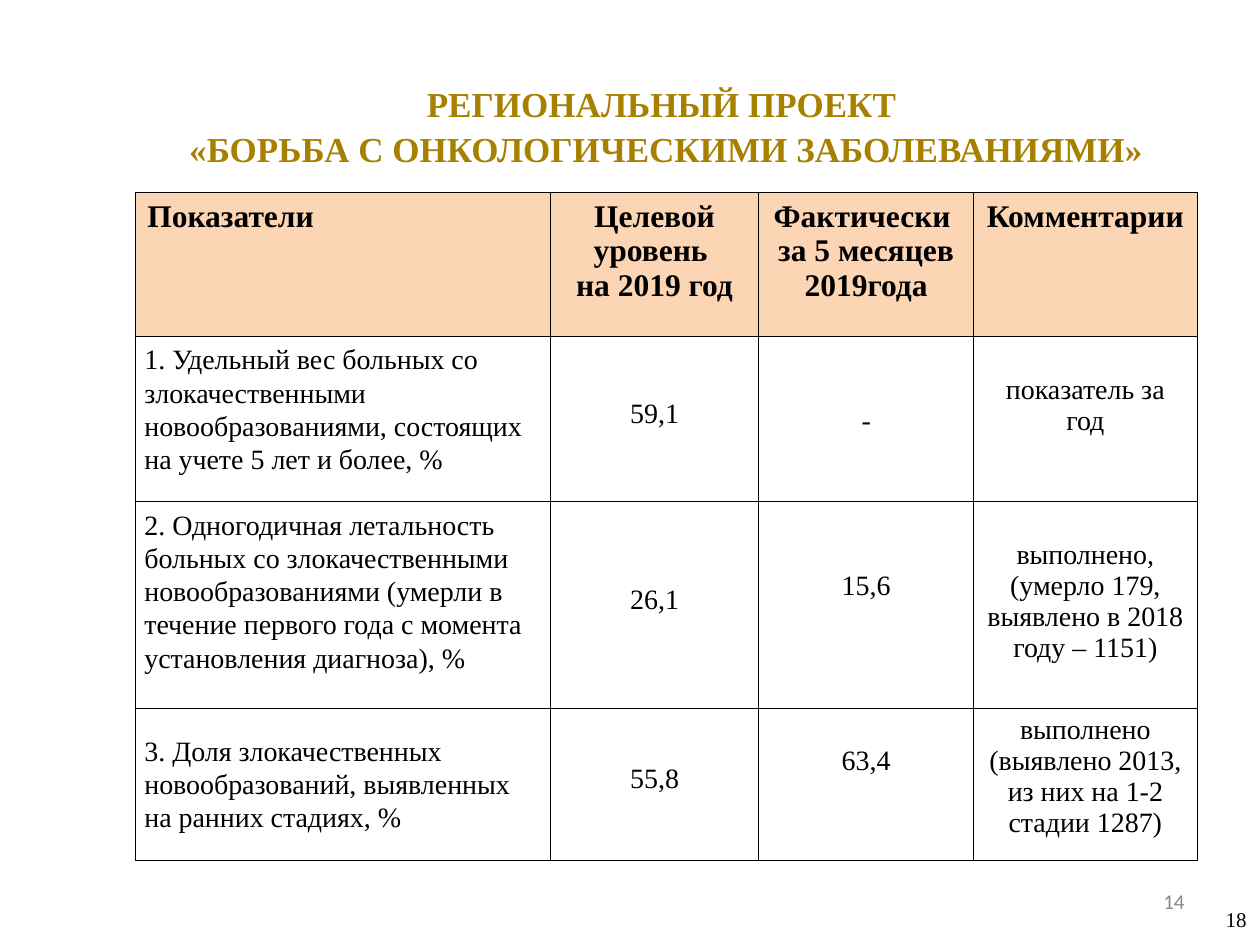
from lxml.etree import SubElement
from pptx import Presentation
from pptx.dml.color import RGBColor
from pptx.enum.text import MSO_ANCHOR, PP_ALIGN
from pptx.oxml.ns import qn
from pptx.util import Cm, Pt

SERIF = "Times New Roman"
BLACK, WHITE, PEACH, GOLD, GREY = "000000", "FFFFFF", "FCD5B5", "A88000", "898989"
LEFT, CENTER, RIGHT = PP_ALIGN.LEFT, PP_ALIGN.CENTER, PP_ALIGN.RIGHT
TOP, MIDDLE = MSO_ANCHOR.TOP, MSO_ANCHOR.MIDDLE

TITLE = ["РЕГИОНАЛЬНЫЙ ПРОЕКТ ", "«БОРЬБА С ОНКОЛОГИЧЕСКИМИ ЗАБОЛЕВАНИЯМИ»"]
HEADER = [
    ["Показатели"],
    ["Целевой уровень ", "на 2019 год"],
    ["Фактически ", "за 5 месяцев 2019года"],
    ["Комментарии "],
]
INDICATORS = [
    [["1. Удельный вес больных со злокачественными новообразованиями, "
      "состоящих на учете 5 лет и более, %"],
     ["59,1"], ["-"], ["показатель за год"]],
    [["2. Одногодичная летальность больных со злокачественными новообразованиями "
      "(умерли в течение первого года с момента установления диагноза), %"],
     ["26,1"], ["15,6"], ["выполнено, (умерло 179, выявлено в 2018 году – 1151)"]],
    [["3. Доля злокачественных новообразований, выявленных на ранних стадиях, %"],
     ["55,8"], ["63,4"],
     ["выполнено", "(выявлено 2013, из них на 1-2 стадии 1287)"]],
]
NAME_ANCHORS = [TOP, TOP, MIDDLE]
# Lines by which the actual value and the comment are lowered in each row
LOWERED_LINES = [(2, 1), (2, 1), (1, 0)]
LINE_HEIGHT = 0.63

COLUMN_WIDTHS = [8.38, 4.19, 4.34, 4.5]
ROW_HEIGHTS = [2.9, 3.33, 4.16, 3.07]
TABLE_LEFT, TABLE_TOP = 2.72, 3.88


def color(value):
    return RGBColor.from_string(value)


def apply(target, formats):
    for name, value in formats.items():
        setattr(target, name, value)


def write(frame, lines, size, font=SERIF, hue=BLACK, bold=False, **para_format):
    for index, line in enumerate(lines):
        para = frame.add_paragraph() if index else frame.paragraphs[0]
        apply(para, para_format)
        span = para.add_run()
        span.text = line
        apply(span.font, {"name": font, "size": Pt(size), "bold": bold})
        span.font.color.rgb = color(hue)


def add_text(page, place, lines, size, frame_format, **text_format):
    box = page.shapes.add_textbox(*map(Cm, place))
    apply(box.text_frame, frame_format)
    write(box.text_frame, lines, size, **text_format)


def draw_borders(cell):
    """Put the four lines before the fill, as the cell schema requires."""
    properties = cell._tc.get_or_add_tcPr()
    for position, side in enumerate(("lnL", "lnR", "lnT", "lnB")):
        line = SubElement(properties, qn(f"a:{side}"), w=str(Pt(0.45)))
        fill = SubElement(line, qn("a:solidFill"))
        SubElement(fill, qn("a:srgbClr"), val=BLACK)
        properties.insert(position, line)


def fill_cell(cell, lines, size, hue, side=0.25, lowered=0, anchor=TOP, **text_format):
    apply(cell, {
        "margin_left": Cm(side), "margin_right": Cm(side),
        "margin_top": Cm(0.13 + lowered * LINE_HEIGHT), "margin_bottom": Cm(0.13),
        "vertical_anchor": anchor,
    })
    cell.fill.solid()
    cell.fill.fore_color.rgb = color(hue)
    draw_borders(cell)
    write(cell.text_frame, lines, size, **text_format)


def add_indicator_table(page):
    frame = page.shapes.add_table(
        len(ROW_HEIGHTS), len(COLUMN_WIDTHS), Cm(TABLE_LEFT), Cm(TABLE_TOP),
        Cm(sum(COLUMN_WIDTHS)), Cm(sum(ROW_HEIGHTS)))
    table = frame.table
    apply(table, {"first_row": False, "horz_banding": False})
    for column, width in zip(table.columns, COLUMN_WIDTHS):
        column.width = Cm(width)
    for row, height in zip(table.rows, ROW_HEIGHTS):
        row.height = Cm(height)

    for index, lines in enumerate(HEADER):
        fill_cell(table.cell(0, index), lines, 18, PEACH, bold=True,
                  alignment=CENTER if index else LEFT)

    rows = zip(INDICATORS, NAME_ANCHORS, LOWERED_LINES)
    for number, (texts, name_anchor, (fact_drop, comment_drop)) in enumerate(rows, 1):
        formats = [
            {"side": 0.19, "anchor": name_anchor, "alignment": LEFT, "line_spacing": 1.07},
            {"side": 0.19, "anchor": MIDDLE, "alignment": CENTER,
             "line_spacing": Pt(12), "space_after": Pt(8)},
            {"lowered": fact_drop, "alignment": CENTER},
            {"lowered": comment_drop, "alignment": CENTER},
        ]
        for index, (lines, cell_format) in enumerate(zip(texts, formats)):
            fill_cell(table.cell(number, index), lines, 16, WHITE, **cell_format)


def main():
    deck = Presentation()
    apply(deck, {"slide_width": Cm(25.4), "slide_height": Cm(19.05)})
    page = deck.slides.add_slide(deck.slide_layouts[6])

    add_text(page, (24.46, 18.16, 1.19, 0.76), ["18"], 12, {"word_wrap": False})
    add_text(page, (18.21, 17.65, 5.92, 1.02), ["14"], 12,
             {"word_wrap": True, "vertical_anchor": MIDDLE},
             font="Calibri", hue=GREY, alignment=RIGHT)
    add_text(page, (TABLE_LEFT, 1.5, sum(COLUMN_WIDTHS), 1.73), TITLE, 20,
             {"word_wrap": True, "margin_left": Cm(0.18), "margin_right": Cm(0.18),
              "margin_top": Cm(0.1), "margin_bottom": Cm(0.1)},
             hue=GOLD, bold=True, alignment=CENTER, line_spacing=1.07)
    add_indicator_table(page)
    deck.save("out.pptx")


if __name__ == "__main__":
    main()
